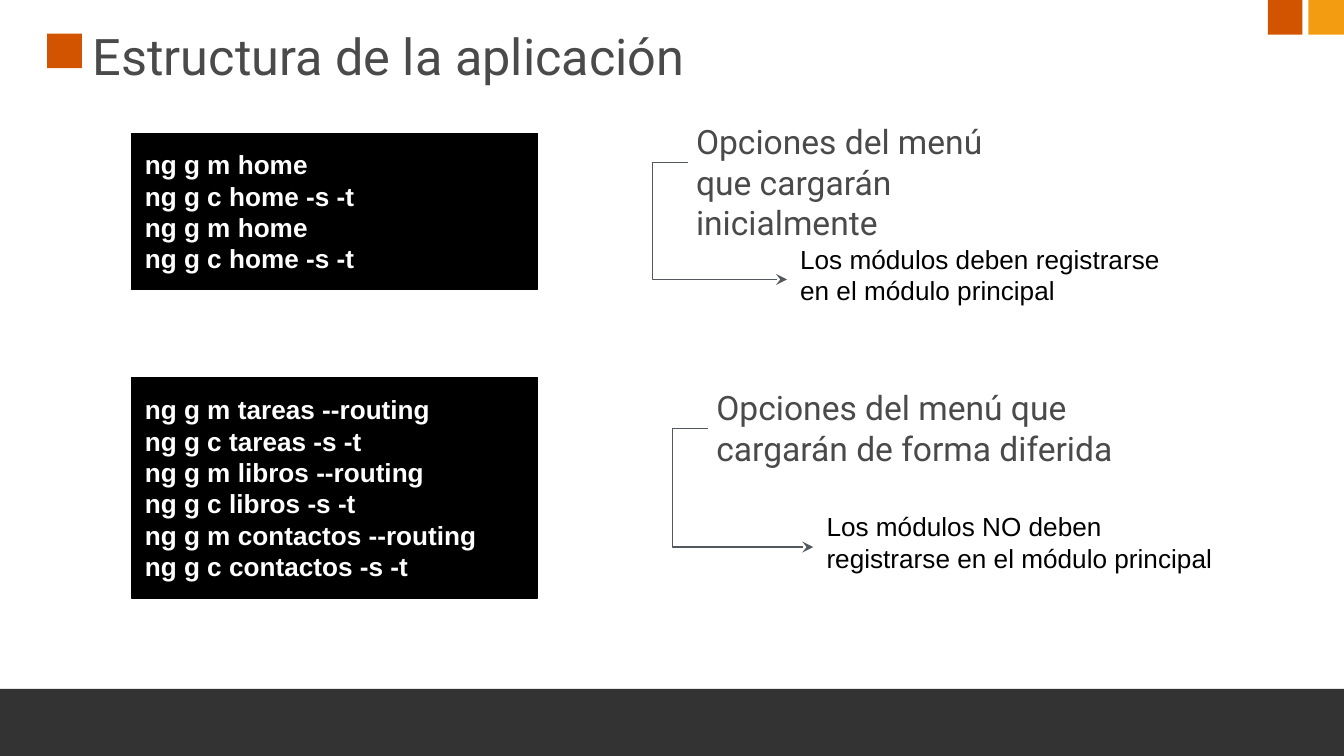
from dataclasses import dataclass

from lxml.etree import SubElement
from pptx import Presentation
from pptx.dml.color import RGBColor
from pptx.enum.shapes import MSO_CONNECTOR, MSO_SHAPE
from pptx.enum.text import MSO_ANCHOR as Anchor, MSO_AUTO_SIZE, PP_ALIGN
from pptx.oxml.ns import qn
from pptx.util import Pt

COLORS = {
    "orange": "D35400", "amber": "F39C12", "footer": "333333",
    "heading": "4A4A4A", "arrow": "53585F", "black": "000000", "white": "FFFFFF",
}
TEXT_H = 53.3    # height of headings and notes
ELBOW_OUT = 18.9  # how far an arrow runs left of its heading


@dataclass
class Box:
    x: float
    y: float
    w: float
    h: float = TEXT_H

    @property
    def middle(self) -> float:
        return self.y + self.h / 2


@dataclass
class Style:
    font: str
    size: float
    color: str
    bold: bool = False
    inset: float = 7.2
    anchor: Anchor = Anchor.TOP


@dataclass
class Section:
    commands: list[str]
    code_box: Box
    heading: str
    heading_box: Box
    note: str
    note_box: Box


TITLE = Style("Roboto", 27, "heading", inset=4.5, anchor=Anchor.MIDDLE)
HEADING = Style("Roboto", 18, "heading", inset=4.5)
NOTE = Style("Arial", 14, "black")
CODE = Style("Arial", 14, "white", bold=True, anchor=Anchor.MIDDLE)

BLOCKS = [
    (Box(25.3, 18, 18.6, 18.6), "orange"),
    (Box(-2, 369.1, 723.6, 36.5), "footer"),
    (Box(679.2, 0, 18.6, 18.6), "orange"),
    (Box(701, 0, 19, 18.6), "amber"),
]
SECTIONS = [
    Section(
        ["ng g m home", "ng g c home -s -t"] * 2,
        Box(70.5, 71.5, 217.4, 83.5),
        "Opciones del menú que cargarán inicialmente", Box(368.4, 60.5, 194.4),
        "Los módulos deben registrarse en el módulo principal", Box(421.6, 123.1, 224),
    ),
    Section(
        [line for name in ("tareas", "libros", "contactos")
         for line in (f"ng g m {name} --routing", f"ng g c {name} -s -t")],
        Box(70.5, 202.3, 217.4, 118.1),
        "Opciones del menú que cargarán de forma diferida", Box(379.3, 203, 224),
        "Los módulos NO deben registrarse en el módulo principal", Box(435.7, 266.4, 224),
    ),
]


def rgb(name: str) -> RGBColor:
    return RGBColor.from_string(COLORS[name])


def pts(box: Box) -> list[Pt]:
    return [Pt(v) for v in (box.x, box.y, box.w, box.h)]


def write(s, lines: list[str], style: Style) -> None:
    tf = s.text_frame
    tf.word_wrap = True
    tf.auto_size = MSO_AUTO_SIZE.NONE
    tf.vertical_anchor = style.anchor
    tf.margin_left = tf.margin_right = tf.margin_top = tf.margin_bottom = Pt(style.inset)
    for i, line in enumerate(lines):
        p = tf.add_paragraph() if i else tf.paragraphs[0]
        p.alignment = PP_ALIGN.LEFT
        r = p.add_run()
        r.text = line
        r.font.name, r.font.size, r.font.bold = style.font, Pt(style.size), style.bold
        r.font.color.rgb = rgb(style.color)


def add_block(slide, box: Box, color: str):
    s = slide.shapes.add_shape(MSO_SHAPE.RECTANGLE, *pts(box))
    s.shadow.inherit = False
    s.fill.solid()
    s.fill.fore_color.rgb = rgb(color)
    s.line.fill.background()
    return s


def add_code(slide, box: Box, commands: list[str]) -> None:
    s = add_block(slide, box, "black")
    s.line.color.rgb = rgb("black")
    s.line.width = Pt(0.75)
    write(s, commands, CODE)


def add_text(slide, box: Box, text: str, style: Style) -> None:
    write(slide.shapes.add_textbox(*pts(box)), [text], style)


def add_arrow(slide, start: Box, end: Box) -> None:
    """Elbow arrow between left sides, bending out to the left of the start box."""
    c = slide.shapes.add_connector(
        MSO_CONNECTOR.ELBOW, Pt(start.x), Pt(start.middle), Pt(end.x), Pt(end.middle))
    c.line.color.rgb = rgb("arrow")
    c.line.width = Pt(0.75)
    sp_pr = c._element.spPr
    guides = sp_pr.find(qn("a:prstGeom")).get_or_add_avLst()
    bend = round(-ELBOW_OUT / (end.x - start.x) * 100000)
    SubElement(guides, qn("a:gd"), name="adj1", fmla=f"val {bend}")
    SubElement(c.line._get_or_add_ln(), qn("a:tailEnd"), type="stealth")
    SubElement(sp_pr, qn("a:effectLst"))


def main() -> None:
    prs = Presentation()
    prs.slide_width, prs.slide_height = Pt(720), Pt(405)
    slide = prs.slides.add_slide(prs.slide_layouts[5])

    for box, color in BLOCKS:
        add_block(slide, box, color)

    title = slide.shapes.title
    title.left, title.top, title.width, title.height = pts(Box(45.2, 8.6, 617, 42.5))
    write(title, ["Estructura de la aplicación"], TITLE)

    for section in SECTIONS:
        add_code(slide, section.code_box, section.commands)
        add_text(slide, section.heading_box, section.heading, HEADING)
        add_text(slide, section.note_box, section.note, NOTE)
        add_arrow(slide, section.heading_box, section.note_box)

    prs.save("out.pptx")


if __name__ == "__main__":
    main()
